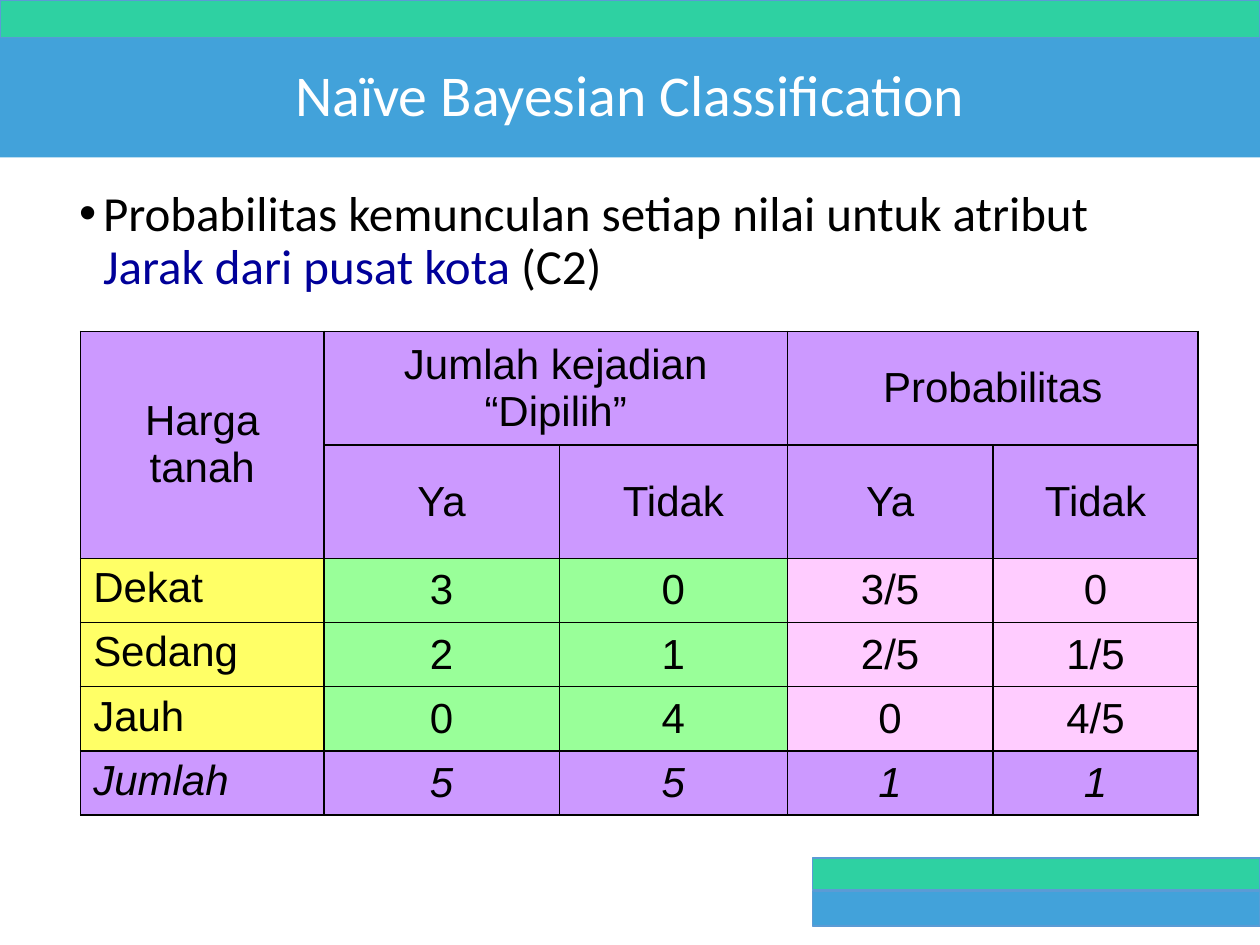
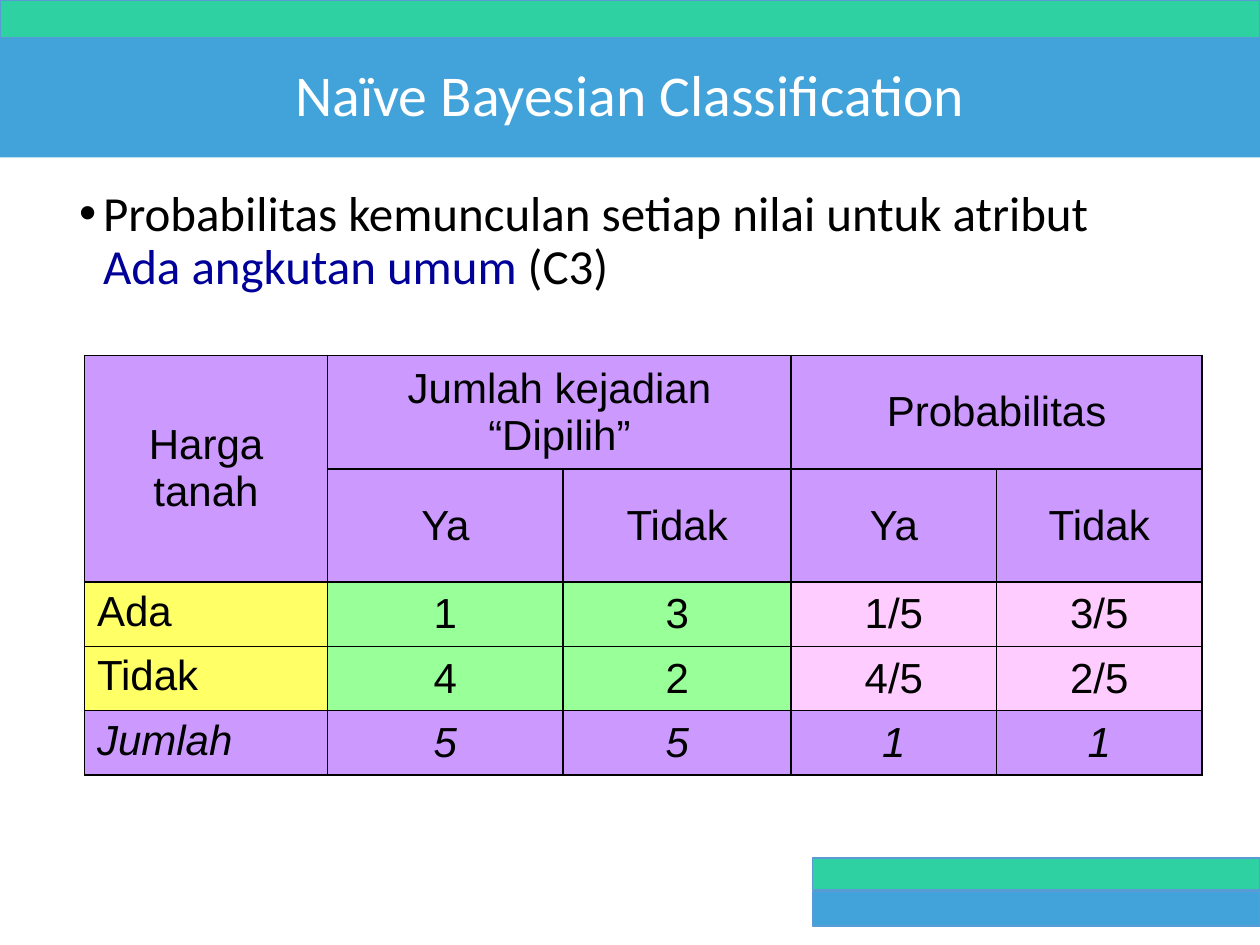
from lxml import etree
from pptx import Presentation
from pptx import util as u
from pptx.dml.color import RGBColor
from pptx.enum import shapes, text
from pptx.oxml import ns

GREEN = RGBColor(0x2E, 0xD1, 0xA2)
BLUE = RGBColor(0x42, 0xA2, 0xDA)
OUTLINE = RGBColor(0x5B, 0x9B, 0xD5)
WHITE = RGBColor(0xFF, 0xFF, 0xFF)
BLACK = RGBColor(0x00, 0x00, 0x00)
NAVY = RGBColor(0x00, 0x00, 0x99)
PURPLE = RGBColor(0xCC, 0x99, 0xFF)
YELLOW = RGBColor(0xFF, 0xFF, 0x66)
LIME = RGBColor(0x99, 0xFF, 0x99)
PINK = RGBColor(0xFF, 0xCC, 0xFF)

TITLE = "Naïve Bayesian Classification"
TITLE_FONT = {"name": "Calibri", "size": u.Pt(33)}
BODY_FONT = {"name": "Calibri", "size": u.Pt(28)}
TABLE_FONT = {"name": "Arial", "size": u.Pt(24)}

BANDS = [
    ((0, 0, 10, 0.3), GREEN),
    ((0, 0.3, 10, 0.3), BLUE),
    ((6.45, 6.81, 3.55, 0.25), GREEN),
    ((6.45, 7.07, 3.55, 0.28), BLUE),
]
TITLE_BOX = (0, 0.3, 10, 0.95)
INTRO_BOX = (0.16, 1.45, 8.6, 0.99)
COL_WIDTHS = [1.93, 1.87, 1.81, 1.63, 1.63]
HEAD_HEIGHT, ROW_HEIGHT = 0.84, 0.51
HEADER = [
    ["Harga tanah", "Jumlah kejadian “Dipilih”", "", "Probabilitas", ""],
    ["", "Ya", "Tidak", "Ya", "Tidak"],
]
TOTALS = ["Jumlah", "5", "5", "1", "1"]
COL_FILLS = [YELLOW, LIME, LIME, PINK, PINK]

SLIDES = [
    ("Jarak dari pusat kota ", "(C2)", (0.64, 2.63), [
        ["Dekat", "3", "0", "3/5", "0"],
        ["Sedang", "2", "1", "2/5", "1/5"],
        ["Jauh", "0", "4", "0", "4/5"],
    ]),
    ("Ada angkutan umum ", "(C3)", (0.67, 2.82), [
        ["Ada", "1", "3", "1/5", "3/5"],
        ["Tidak", "4", "2", "4/5", "2/5"],
    ]),
]


def inches(box):
    return [u.Inches(v) for v in box]


def add_run(p, words, color, font):
    r = p.add_run()
    r.text = words
    for name, value in font.items():
        setattr(r.font, name, value)
    r.font.color.rgb = color


def indent(p, left, first):
    pPr = p._p.get_or_add_pPr()
    pPr.set("marL", str(u.Inches(left)))
    pPr.set("indent", str(u.Inches(first)))
    return pPr


def add_rect(s, box, fill):
    sp = s.shapes.add_shape(shapes.MSO_SHAPE.RECTANGLE, *inches(box))
    sp.shadow.inherit = False
    sp.fill.solid()
    sp.fill.fore_color.rgb = fill
    return sp


def add_bands(s):
    for box, color in BANDS:
        sp = add_rect(s, box, color)
        sp.line.color.rgb = OUTLINE
        sp.line.width = u.Pt(0.9)


def add_title(s, box):
    sp = add_rect(s, box, BLUE)
    sp.line.fill.background()
    tf = sp.text_frame
    tf.vertical_anchor = text.MSO_ANCHOR.MIDDLE
    p = tf.paragraphs[0]
    p.alignment = text.PP_ALIGN.CENTER
    p.line_spacing = 0.9
    add_run(p, TITLE, WHITE, TITLE_FONT)


def add_intro(s, box, attribute, code):
    tf = s.shapes.add_textbox(*inches(box)).text_frame
    tf.word_wrap = True
    p = tf.paragraphs[0]
    pPr = indent(p, 0.56, -0.19)
    etree.SubElement(pPr, ns.qn("a:buFont"), typeface="Arial")
    etree.SubElement(pPr, ns.qn("a:buChar"), char="•")
    p.line_spacing = 0.9
    add_run(p, "Probabilitas kemunculan setiap nilai untuk atribut ", BLACK, BODY_FONT)
    add_run(p, attribute, NAVY, BODY_FONT)
    add_run(p, code, BLACK, BODY_FONT)


def add_borders(cell):
    tcPr = cell._tc.get_or_add_tcPr()
    for side in ("lnL", "lnR", "lnT", "lnB"):
        ln = etree.SubElement(tcPr, ns.qn("a:" + side), w=str(u.Pt(1)))
        fill = etree.SubElement(ln, ns.qn("a:solidFill"))
        etree.SubElement(fill, ns.qn("a:srgbClr"), val=str(BLACK))


def add_probability_table(s, corner, values):
    rows = HEADER + values + [TOTALS]
    heights = [HEAD_HEIGHT] + [ROW_HEIGHT] * (len(rows) - 1)
    box = (*corner, sum(COL_WIDTHS), sum(heights))
    table = s.shapes.add_table(len(rows), len(COL_WIDTHS), *inches(box)).table
    for column, width in zip(table.columns, COL_WIDTHS):
        column.width = u.Inches(width)
    for row, height in zip(table.rows, heights):
        row.height = u.Inches(height)
    for first, last in [((0, 0), (1, 0)), ((0, 1), (0, 2)), ((0, 3), (0, 4))]:
        table.cell(*first).merge(table.cell(*last))

    for i, row in enumerate(rows):
        is_header, is_total = i < len(HEADER), row is TOTALS
        for j, words in enumerate(row):
            cell = table.cell(i, j)
            add_borders(cell)
            cell.fill.solid()
            cell.fill.fore_color.rgb = PURPLE if is_header or is_total else COL_FILLS[j]
            if not words:
                continue
            p = cell.text_frame.paragraphs[0]
            if i > 0:
                indent(p, 0.38, -0.38)
            if is_header or j > 0:
                cell.vertical_anchor = text.MSO_ANCHOR.MIDDLE
                p.alignment = text.PP_ALIGN.CENTER
            add_run(p, words, BLACK, {**TABLE_FONT, "italic": is_total})


def add_attribute_slide(prs, attribute, code, corner, values):
    s = prs.slides.add_slide(prs.slide_layouts[6])
    add_bands(s)
    add_title(s, TITLE_BOX)
    add_intro(s, INTRO_BOX, attribute, code)
    add_probability_table(s, corner, values)


def main():
    prs = Presentation()
    prs.slide_width, prs.slide_height = inches((10, 7.5))
    for content in SLIDES:
        add_attribute_slide(prs, *content)
    prs.save("out.pptx")


if __name__ == "__main__":
    main()
